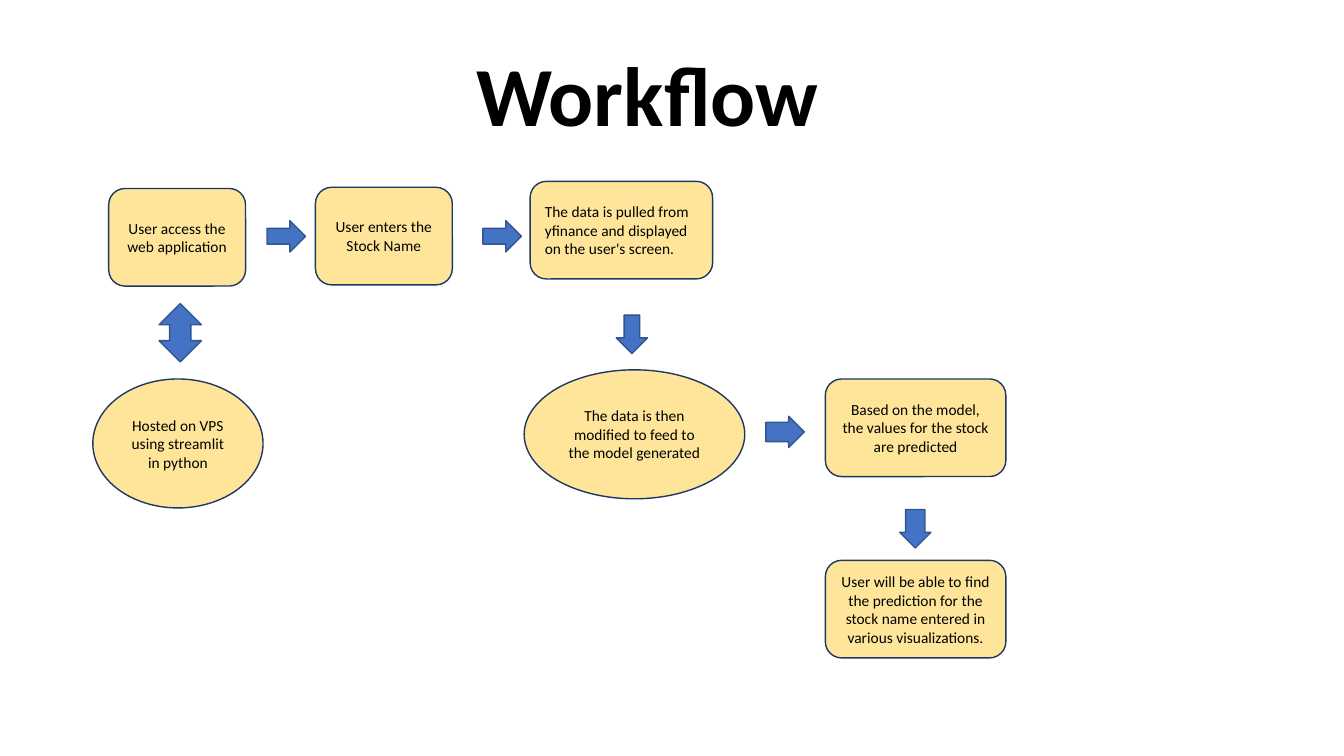
from pptx import Presentation
from pptx.dml.color import RGBColor
from pptx.enum.shapes import MSO_SHAPE
from pptx.enum.text import MSO_ANCHOR, PP_ALIGN
from pptx.util import Cm, Pt

BLACK = RGBColor(0x00, 0x00, 0x00)
STEP_FILL = RGBColor(0xFF, 0xE5, 0x99)
STEP_LINE = RGBColor(0x1F, 0x37, 0x63)
ARROW_FILL = RGBColor(0x44, 0x72, 0xC4)
ARROW_LINE = RGBColor(0x32, 0x54, 0x91)

FONT = "Calibri"
BOX_HEIGHT = 2.46
ELLIPSE_HEIGHT = 3.25
ARROW_LENGTH = 0.97
ARROW_THICKNESS = 0.79


def add_figure(page, preset, left, top, width, height, fill, line):
    shape = page.shapes.add_shape(preset, Cm(left), Cm(top), Cm(width), Cm(height))
    shape.shadow.inherit = False
    shape.fill.solid()
    shape.fill.fore_color.rgb = fill
    shape.line.color.rgb = line
    shape.line.width = Pt(1)
    return shape


def format_text(frame, size, align, bold=False):
    frame.word_wrap = True
    frame.vertical_anchor = MSO_ANCHOR.MIDDLE
    for para in frame.paragraphs:
        para.alignment = align
        for span in para.runs:
            span.font.name = FONT
            span.font.size = Pt(size)
            span.font.bold = bold
            span.font.color.rgb = BLACK


def add_step(page, preset, left, top, width, height, text, align=PP_ALIGN.CENTER):
    step = add_figure(page, preset, left, top, width, height, STEP_FILL, STEP_LINE)
    step.text_frame.text = text
    format_text(step.text_frame, 11, align)


def add_box(page, left, top, width, text, align=PP_ALIGN.CENTER):
    add_step(page, MSO_SHAPE.ROUNDED_RECTANGLE, left, top, width, BOX_HEIGHT, text, align)


def add_ellipse(page, left, top, width, text):
    add_step(page, MSO_SHAPE.OVAL, left, top, width, ELLIPSE_HEIGHT, text)


def add_arrow(page, left, top, rotation=0, shaft=0.5):
    arrow = add_figure(page, MSO_SHAPE.RIGHT_ARROW, left, top,
                       ARROW_LENGTH, ARROW_THICKNESS, ARROW_FILL, ARROW_LINE)
    arrow.rotation = rotation
    arrow.adjustments[0] = shaft


def draw_title(page, left, top, width, height):
    title = page.shapes.title
    title.left, title.top = Cm(left), Cm(top)
    title.width, title.height = Cm(width), Cm(height)
    title.text_frame.text = "Workflow"
    format_text(title.text_frame, 60, PP_ALIGN.CENTER, bold=True)
    title.text_frame.paragraphs[0].line_spacing = 0.8


def draw_access(page, left, top):
    add_box(page, left + 0.4, top + 0.03, 3.45, "User access the web application")
    add_box(page, left + 5.61, top, 3.45, "User enters the Stock Name")
    add_ellipse(page, left, top + 4.83, 4.29, "Hosted on VPS using streamlit in python")
    for arrow_left in (4.39, 9.83):
        add_arrow(page, left + arrow_left, top + 0.84)
    add_figure(page, MSO_SHAPE.UP_DOWN_ARROW, left + 1.67, top + 2.93,
               1.07, 1.47, ARROW_FILL, ARROW_LINE)


def draw_data(page, left, top):
    add_box(page, left + 0.15, top, 4.6,
            "The data is pulled from yfinance and displayed on the user's screen.",
            PP_ALIGN.LEFT)
    add_arrow(page, left + 2.23, top + 3.46, rotation=90)
    add_ellipse(page, left, top + 4.75, 5.56,
                "The data is then modified to feed to the model generated")


def draw_prediction(page, left, top):
    add_arrow(page, left, top + 0.94, shaft=0.62)
    add_box(page, left + 1.5, top, 4.55,
            "Based on the model, the values for the stock are predicted")
    add_arrow(page, left + 3.28, top + 3.38, rotation=90, shaft=0.62)
    add_box(page, left + 1.5, top + 4.57, 4.55,
            "User will be able to find the prediction for the stock name entered "
            "in various visualizations.")


def main():
    deck = Presentation()
    deck.slide_width, deck.slide_height = Cm(33.87), Cm(19.05)
    page = deck.slides.add_slide(deck.slide_layouts[5])
    draw_title(page, 4.27, 1.37, 24.08, 2.44)
    draw_access(page, 2.34, 4.72)
    draw_data(page, 13.21, 4.57)
    draw_prediction(page, 19.3, 9.55)
    deck.save("out.pptx")


if __name__ == "__main__":
    main()
